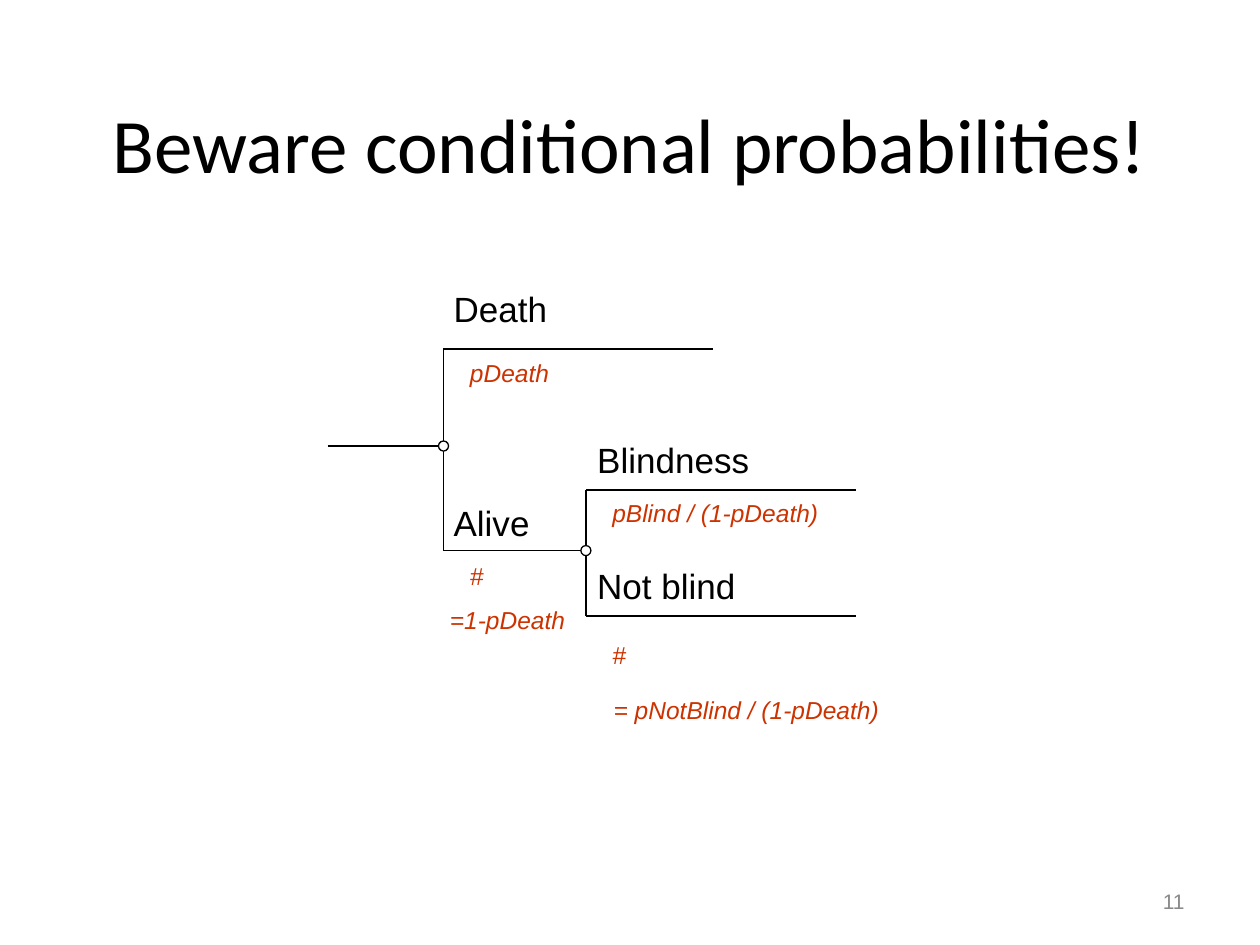
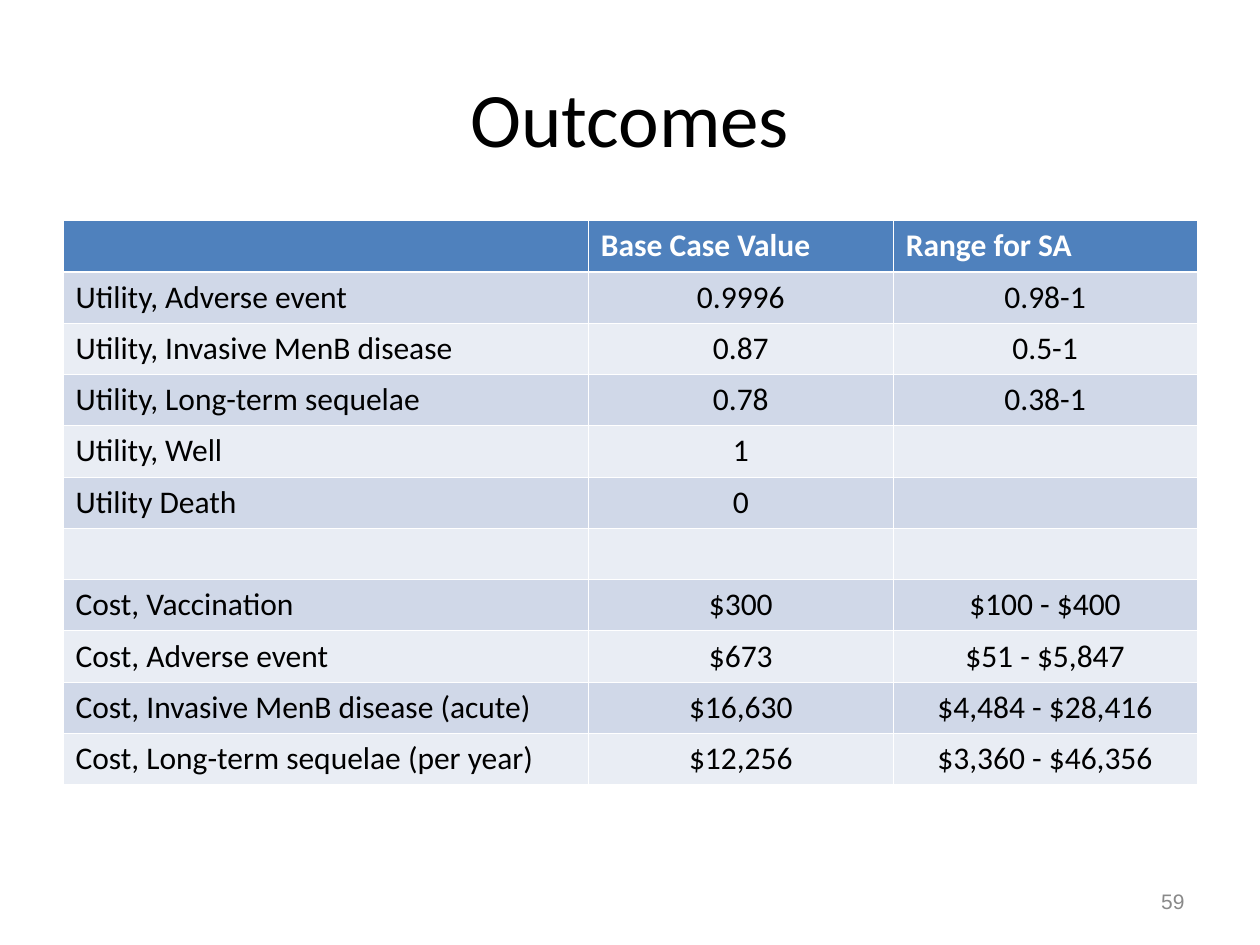
from dataclasses import dataclass
from typing import NamedTuple

from lxml import etree
from pptx import Presentation
from pptx import util as u
from pptx.dml.color import RGBColor
from pptx.enum import shapes, text
from pptx.oxml.ns import qn

PX = 9144  # EMU in one px, at 100 px to the inch


@dataclass(frozen=True)
class Theme:
    ink: str = "000000"
    paper: str = "FFFFFF"
    rust: str = "CC3300"
    gray: str = "898989"
    head: str = "4F81BD"
    bands: tuple = ("D0D8E8", "E9EDF4")
    sans: str = "Calibri"
    plain: str = "Arial"
    title: int = 44
    state: int = 20
    cell: int = 18
    odds: int = 14
    page: int = 12
    rule: float = 0.75
    thin: float = 0.45
    thick: float = 1.47


class Label(NamedTuple):
    words: str
    left: int
    top: int
    wide: int


class Line(NamedTuple):
    x1: int
    y1: int
    x2: int
    y2: int


LOOK = Theme()
ALIGN = text.PP_ALIGN
ANCHOR = text.MSO_ANCHOR

# Tree: x of the root, the two forks and the branch ends; y of each level
ROOT, FORK, SPLIT = 260, 352, 465
REACH = 214
START, DEATH, ALIVE, BLIND, SIGHT = 354, 277, 437, 389, 489
DOT = 8

LINES = (
    Line(ROOT, START, FORK, START),
    Line(FORK, DEATH, FORK, ALIVE),
    Line(FORK, DEATH, FORK + REACH, DEATH),
    Line(FORK, ALIVE, SPLIT, ALIVE),
    Line(SPLIT, BLIND, SPLIT, SIGHT),
    Line(SPLIT, BLIND, SPLIT + REACH, BLIND),
    Line(SPLIT, SIGHT, SPLIT + REACH, SIGHT),
)
DOTS = ((FORK, START), (SPLIT, ALIVE))
STATES = (
    Label("Death", 360, 228, 80),
    Label("Alive", 360, 398, 66),
    Label("Blindness", 474, 348, 127),
    Label("Not blind", 474, 448, 116),
)
ODDS = (
    Label("pDeath", 373, 284, 69),
    Label("#", 373, 445, 17),
    Label("=1-pDeath", 357, 480, 98),
    Label("pBlind / (1-pDeath)", 486, 395, 170),
    Label("#", 486, 508, 17),
    Label("= pNotBlind / (1-pDeath)", 487, 552, 217),
)

WIDTHS = (417, 242, 241)
HIGH = 448
ROWS = (
    ("", "Base Case Value", "Range for SA"),
    ("Utility, Adverse event", "0.9996", "0.98-1"),
    ("Utility, Invasive MenB disease", "0.87", "0.5-1"),
    ("Utility, Long-term sequelae", "0.78", "0.38-1"),
    ("Utility, Well", "1", ""),
    ("Utility Death", "0", ""),
    ("", "", ""),
    ("Cost, Vaccination", "$300", "$100 - $400"),
    ("Cost, Adverse event", "$673", "$51 - $5,847"),
    ("Cost, Invasive MenB disease (acute)", "$16,630", "$4,484 - $28,416"),
    ("Cost, Long-term sequelae (per year)", "$12,256", "$3,360 - $46,356"),
)


def px(*nums: int) -> list[u.Emu]:
    return [u.Emu(n * PX) for n in nums]


def rgb(code: str) -> RGBColor:
    return RGBColor.from_string(code)


def write(frame, words: str, *, size: int, font: str = LOOK.plain,
          color: str = LOOK.ink, bold: bool = False, slant: bool = False,
          align=ALIGN.LEFT) -> None:
    para = frame.paragraphs[0]
    para.alignment = align
    run = para.add_run()
    run.text = words
    face = run.font
    face.name, face.size = font, u.Pt(size)
    face.bold, face.italic = bold, slant
    face.color.rgb = rgb(color)


def start(deck, title: str, page: str, anchor):
    """Add a slide with its title and page number."""
    slide = deck.slides.add_slide(deck.slide_layouts[5])
    head = slide.shapes.title
    head.left, head.top, head.width, head.height = px(50, 30, 900, 125)
    frame = head.text_frame
    frame.auto_size = text.MSO_AUTO_SIZE.NONE
    frame.vertical_anchor = anchor
    write(frame, title, size=LOOK.title, font=LOOK.sans, align=ALIGN.CENTER)

    foot = slide.shapes.add_textbox(*px(717, 695, 233, 40)).text_frame
    foot.word_wrap = True
    foot.vertical_anchor = ANCHOR.MIDDLE
    write(foot, page, size=LOOK.page, color=LOOK.gray, align=ALIGN.RIGHT)
    return slide


def draw_line(slide, line: Line) -> None:
    rule = slide.shapes.add_connector(shapes.MSO_CONNECTOR.STRAIGHT, *px(*line))
    rule.line.color.rgb = rgb(LOOK.ink)
    rule.line.width = u.Pt(LOOK.rule)
    etree.SubElement(rule._element.spPr, qn("a:effectLst"))


def draw_dot(slide, x: int, y: int) -> None:
    dot = slide.shapes.add_shape(shapes.MSO_SHAPE.OVAL,
                                 *px(x - DOT // 2, y - DOT // 2, DOT, DOT))
    dot.shadow.inherit = False
    dot.fill.solid()
    dot.fill.fore_color.rgb = rgb(LOOK.paper)
    dot.line.color.rgb = rgb(LOOK.ink)
    dot.line.width = u.Pt(LOOK.rule)


def draw_label(slide, label: Label, high: int, **form) -> None:
    box = slide.shapes.add_textbox(*px(label.left, label.top, label.wide, high))
    frame = box.text_frame
    frame.margin_left = frame.margin_right = 0
    frame.margin_top = frame.margin_bottom = 0
    frame.word_wrap = True
    frame.auto_size = text.MSO_AUTO_SIZE.NONE
    write(frame, label.words, **form)


def edge(cell, side: str, width: float) -> None:
    line = etree.SubElement(cell._tc.get_or_add_tcPr(), qn(f"a:ln{side}"),
                            w=str(u.Pt(width)))
    fill = etree.SubElement(line, qn("a:solidFill"))
    etree.SubElement(fill, qn("a:srgbClr"), val=LOOK.paper)


def fill_cell(cell, words: str, row: int, col: int) -> None:
    top = row == 0
    for side in "LRTB":
        heavy = (row, side) in ((0, "B"), (1, "T"))
        edge(cell, side, LOOK.thick if heavy else LOOK.thin)
    cell.fill.solid()
    cell.fill.fore_color.rgb = rgb(LOOK.head if top else LOOK.bands[(row - 1) % 2])
    if words:
        write(cell.text_frame, words, size=LOOK.cell, font=LOOK.sans, bold=top,
              color=LOOK.paper if top else LOOK.ink,
              align=ALIGN.LEFT if top or col == 0 else ALIGN.CENTER)


def draw_tree(deck) -> None:
    slide = start(deck, "Beware conditional probabilities!", "11", ANCHOR.BOTTOM)
    for line in LINES:
        draw_line(slide, line)
    for x, y in DOTS:
        draw_dot(slide, x, y)
    for label in STATES:
        draw_label(slide, label, 33, size=LOOK.state)
    for label in ODDS:
        draw_label(slide, label, 23, size=LOOK.odds, color=LOOK.rust, slant=True)


def draw_grid(deck) -> None:
    slide = start(deck, "Outcomes", "59", ANCHOR.MIDDLE)
    grid = slide.shapes.add_table(len(ROWS), len(WIDTHS),
                                  *px(50, 175, sum(WIDTHS), HIGH)).table
    grid.horz_banding = False
    for col, wide in zip(grid.columns, px(*WIDTHS)):
        col.width = wide
    for r, row in enumerate(ROWS):
        for c, words in enumerate(row):
            fill_cell(grid.cell(r, c), words, r, c)


def main() -> None:
    deck = Presentation()
    deck.slide_width, deck.slide_height = px(1000, 750)
    draw_tree(deck)
    draw_grid(deck)
    deck.save("out.pptx")


if __name__ == "__main__":
    main()
